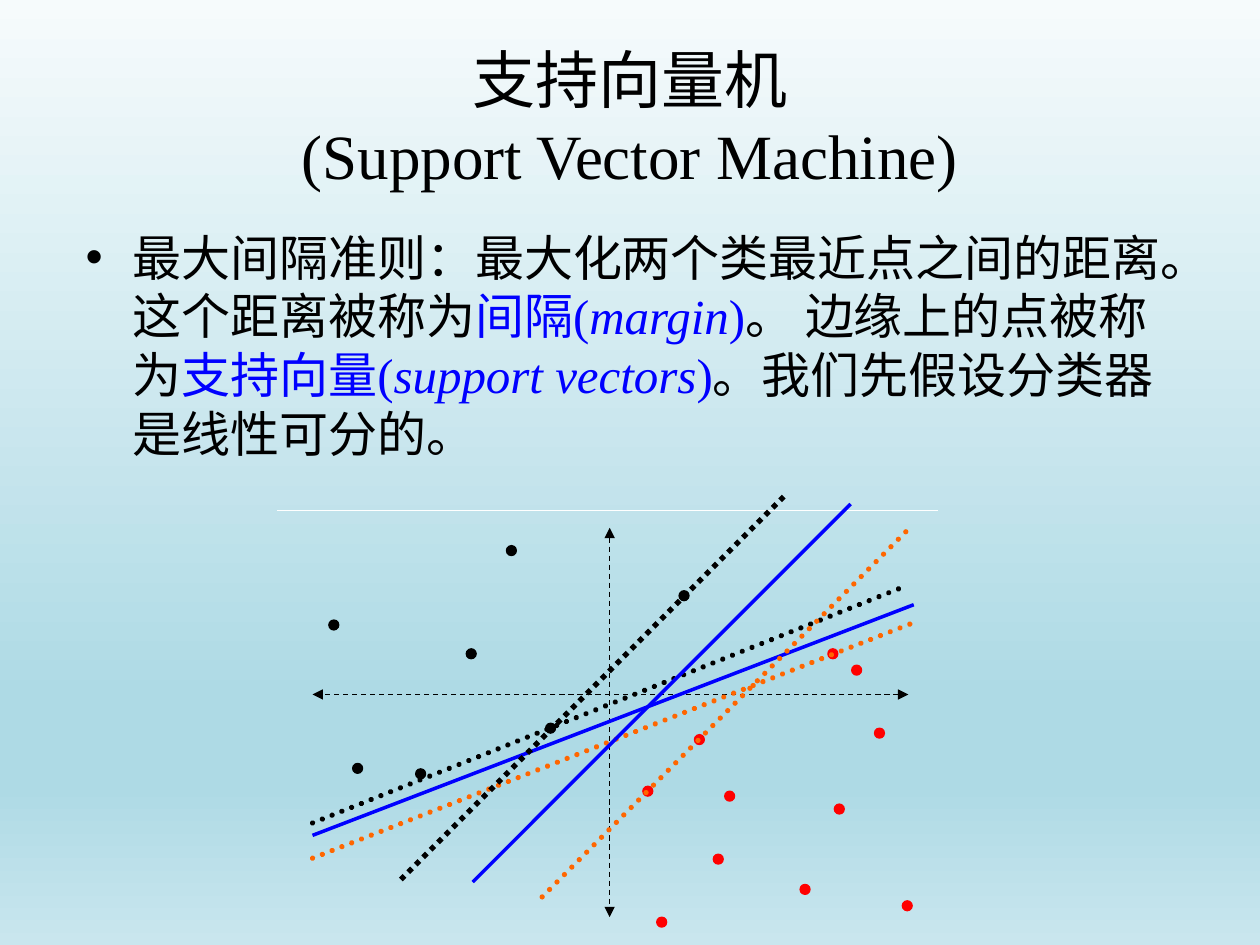
from dataclasses import dataclass
from typing import Optional

from lxml.etree import SubElement
from pptx import Presentation
from pptx.dml.color import RGBColor as Rgb
from pptx.enum.dml import MSO_LINE as Dash
from pptx.enum.shapes import MSO_CONNECTOR as Link, MSO_SHAPE as Kind
from pptx.enum.text import MSO_ANCHOR as Anchor, MSO_AUTO_SIZE as Fit, PP_ALIGN as Align
from pptx.oxml.ns import qn
from pptx.util import Cm, Pt


@dataclass(frozen=True)
class Theme:
    font: str = "Times New Roman"
    head: int = 36
    body: int = 28
    black: str = "000000"
    white: str = "FFFFFF"
    blue: str = "0000FF"
    red: str = "FF0000"
    orange: str = "FF6600"
    sky: tuple = ((0, "F6FBFC"), (74, "AEDAE5"), (83, "AEDAE5"), (100, "C9E6EE"))


@dataclass(frozen=True)
class Line:
    start: tuple
    end: tuple
    color: str
    width: float = 0.75
    dash: Optional[Dash] = None
    round: bool = False
    arrows: bool = False


@dataclass(frozen=True)
class Group:
    color: str
    points: tuple


THEME = Theme()
DOT = 0.2
BULLET = 0.95

AXES = (
    Line((12.29, 10.64), (12.29, 18.49), THEME.black, dash=Dash.DASH, arrows=True),
    Line((18.31, 14), (6.3, 14), THEME.black, dash=Dash.DASH, arrows=True),
)
CLASSES = (
    Group(THEME.red, (
        (13.06, 15.95), (14.1, 14.91), (13.34, 18.59), (16.23, 17.93),
        (16.92, 16.31), (17.27, 13.51), (14.71, 16.05), (16.79, 13.18),
        (17.73, 14.78), (14.48, 17.32), (18.29, 18.26))),
    Group(THEME.black, (
        (11.1, 14.68), (13.79, 12.01), (10.31, 11.1), (7.21, 15.49),
        (8.48, 15.6), (9.5, 13.18), (6.73, 12.6))),
)
RULE = Line((5.59, 10.29), (18.9, 10.29), THEME.white)
MARGINS = (
    Line((6.3, 16.84), (18.42, 12.19), THEME.blue, 2),
    Line((6.3, 17.3), (18.42, 12.55), THEME.orange, 3, Dash.ROUND_DOT, True),
    Line((6.3, 16.59), (18.19, 11.84), THEME.black, 3, Dash.ROUND_DOT, True),
    Line((17.15, 10.16), (9.53, 17.78), THEME.blue, 2),
    Line((18.26, 10.72), (10.82, 18.19), THEME.orange, 3, Dash.ROUND_DOT, True),
    Line((15.8, 10.01), (8.03, 17.78), THEME.black, 3, Dash.ROUND_DOT),
)


def write(para, text: str, *, size: int, color: str = THEME.black, italic: bool = False) -> None:
    run = para.add_run()
    run.text = text
    font = run.font
    font.name, font.size, font.italic = THEME.font, Pt(size), italic
    font.color.rgb = Rgb.from_string(color)


def place(shape, left: float, top: float, width: float, height: float) -> None:
    shape.left, shape.top = Cm(left), Cm(top)
    shape.width, shape.height = Cm(width), Cm(height)
    shape.text_frame.auto_size = Fit.NONE


def paint(slide) -> None:
    """Fill the background with the sky colours, from top to bottom."""
    fill = slide.background.fill
    fill.gradient()
    grad = slide.background._cSld.find(".//" + qn("a:gradFill"))
    stops = grad.find(qn("a:gsLst"))
    for stop in list(stops):
        stops.remove(stop)
    for pos, color in THEME.sky:
        stop = SubElement(stops, qn("a:gs"), pos=str(pos * 1000))
        SubElement(stop, qn("a:srgbClr"), val=color)
    grad.find(qn("a:lin")).set("ang", "5400000")


def add_line(slide, line: Line) -> None:
    ends = [Cm(v) for v in line.start + line.end]
    shape = slide.shapes.add_connector(Link.STRAIGHT, *ends)
    pen = shape.line
    pen.color.rgb = Rgb.from_string(line.color)
    pen.width = Pt(line.width)
    if line.dash is not None:
        pen.dash_style = line.dash
    props = shape._element.spPr
    node = props.find(qn("a:ln"))
    if line.round:
        node.set("cap", "rnd")
    if line.arrows:
        for end in ("a:headEnd", "a:tailEnd"):
            SubElement(node, qn(end), type="triangle")
    SubElement(props, qn("a:effectLst"))


def add_dots(slide, group: Group) -> None:
    color = Rgb.from_string(group.color)
    for x, y in group.points:
        dot = slide.shapes.add_shape(
            Kind.OVAL, Cm(x - DOT / 2), Cm(y - DOT / 2), Cm(DOT), Cm(DOT))
        dot.shadow.inherit = False
        dot.fill.solid()
        dot.fill.fore_color.rgb = color
        dot.line.color.rgb = color
        dot.line.width = Pt(0.75)


def add_title(slide) -> None:
    title = slide.shapes.title
    place(title, 1.27, 0.76, 22.86, 3.18)
    title.text_frame.vertical_anchor = Anchor.MIDDLE
    para = title.text_frame.paragraphs[0]
    para.alignment = Align.CENTER
    write(para, "支持向量机", size=THEME.head)
    para.add_line_break()
    write(para, "(Support Vector Machine)", size=THEME.head)


def add_body(slide) -> None:
    body = slide.placeholders[1]
    place(body, 1.47, 4.45, 22.66, 12.9)
    para = body.text_frame.paragraphs[0]
    para.space_before = Pt(0)
    props = para._p.get_or_add_pPr()
    props.set("marL", str(Cm(BULLET)))
    props.set("indent", str(-Cm(BULLET)))
    SubElement(props, qn("a:buChar"), char="•")
    size, blue = THEME.body, THEME.blue
    write(para, "最大间隔准则：最大化两个类最近点之间的距离。这个距离被称为", size=size)
    for term, name, rest in (
        ("间隔(", "margin", "。 边缘上的点被称为"),
        ("支持向量(", "support vectors", "。我们先假设分类器是线性可分的。"),
    ):
        write(para, term, size=size, color=blue)
        write(para, name, size=size, color=blue, italic=True)
        write(para, ")", size=size, color=blue)
        write(para, rest, size=size)


def main() -> None:
    deck = Presentation()
    deck.slide_width, deck.slide_height = Cm(25.4), Cm(19.05)
    slide = deck.slides.add_slide(deck.slide_layouts[1])
    paint(slide)
    add_title(slide)
    add_body(slide)
    for axis in AXES:
        add_line(slide, axis)
    for group in CLASSES:
        add_dots(slide, group)
    for line in (RULE, *MARGINS):
        add_line(slide, line)
    deck.save("out.pptx")


if __name__ == "__main__":
    main()
